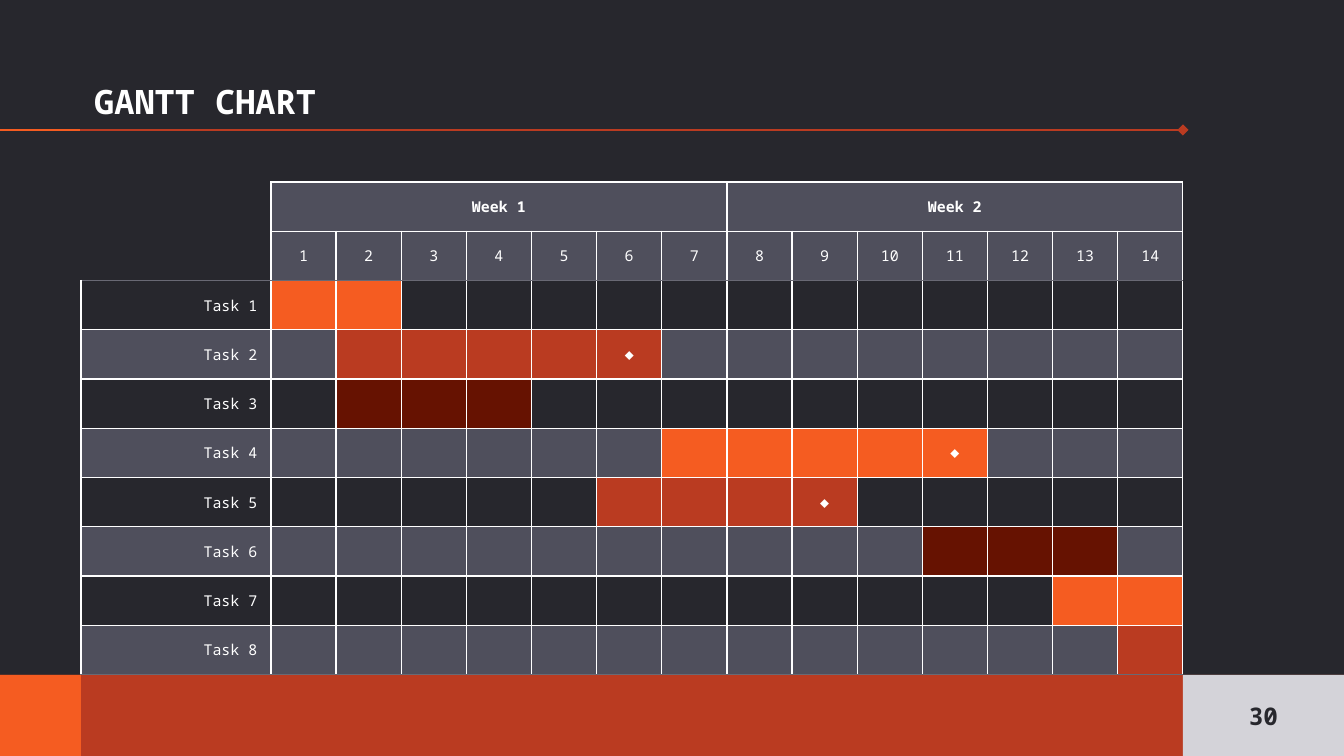
"""Build a Gantt chart slide with eight tasks over two weeks."""
import dataclasses

import lxml.etree
import pptx
import pptx.dml.color
import pptx.enum.shapes
import pptx.enum.text
import pptx.oxml.ns
import pptx.util

PX = 914400 / 134.4
ALIGN = pptx.enum.text.PP_ALIGN
ANCHOR = pptx.enum.text.MSO_ANCHOR


@dataclasses.dataclass(frozen=True)
class Theme:
    font: str = "Noto Sans Mono"
    dark: str = "27272D"
    slate: str = "4F4F5C"
    edge: str = "696974"
    pale: str = "D4D3D9"
    white: str = "FFFFFF"
    orange: str = "F55C21"
    rust: str = "BA3B21"
    maroon: str = "661201"
    title_size: int = 18
    page_size: int = 13
    table_size: int = 8
    rule_width: float = 1.5
    grid_width: float = 0.75


def px(length):
    return pptx.util.Emu(round(length * PX))


def rgb(color):
    return pptx.dml.color.RGBColor.from_string(color)


def add_xml(parent, tag, **attributes):
    return lxml.etree.SubElement(parent, pptx.oxml.ns.qn(tag), attributes)


class SlideBuilder:
    def __init__(self, slide, theme):
        self.slide = slide
        self.theme = theme
        slide.background.fill.solid()
        slide.background.fill.fore_color.rgb = rgb(theme.dark)

    def label(self, frame, text, size, color, bold=False, align=ALIGN.LEFT):
        paragraph = frame.paragraphs[0]
        paragraph.alignment = align
        font = paragraph.font
        font.name, font.size, font.bold = self.theme.font, pptx.util.Pt(size), bold
        font.color.rgb = rgb(color)
        if text:
            paragraph.add_run().text = text
        else:
            add_xml(paragraph._p, "a:endParaRPr", sz=str(size * 100))

    def block(self, left, top, width, height, color):
        block = self.slide.shapes.add_shape(
            pptx.enum.shapes.MSO_SHAPE.RECTANGLE, px(left), px(top), px(width), px(height))
        block.shadow.inherit = False
        block.fill.solid()
        block.fill.fore_color.rgb = rgb(color)
        block.line.fill.background()
        return block

    def rule(self, start, end, y, color, diamond=False):
        rule = self.slide.shapes.add_connector(
            pptx.enum.shapes.MSO_CONNECTOR.STRAIGHT, px(start), px(y), px(end), px(y))
        rule.line.color.rgb = rgb(color)
        rule.line.width = pptx.util.Pt(self.theme.rule_width)
        if diamond:
            add_xml(rule.line._get_or_add_ln(), "a:tailEnd", type="diamond")
        add_xml(rule._element.spPr, "a:effectLst")

    def title(self, left, top, width, height, text):
        frame = self.slide.shapes.add_textbox(px(left), px(top), px(width), px(height)).text_frame
        frame.word_wrap = True
        frame.vertical_anchor = ANCHOR.BOTTOM
        frame.margin_top = frame.margin_bottom = px(13)
        self.label(frame, text, self.theme.title_size, self.theme.white, bold=True)

    def page_number(self, left, top, width, height, text):
        frame = self.block(left, top, width, height, self.theme.pale).text_frame
        frame.vertical_anchor = ANCHOR.MIDDLE
        self.label(frame, text, self.theme.page_size, self.theme.dark, True, ALIGN.CENTER)

    def cell(self, cell, text, fill, borders, bold=False, align=ALIGN.CENTER):
        properties = cell._tc.get_or_add_tcPr()
        for side, color in zip("LRTB", borders):
            line = add_xml(properties, f"a:ln{side}", w=str(pptx.util.Pt(self.theme.grid_width)))
            if color:
                add_xml(add_xml(line, "a:solidFill"), "a:srgbClr", val=color)
            else:
                add_xml(line, "a:noFill")
        if fill:
            cell.fill.solid()
            cell.fill.fore_color.rgb = rgb(fill)
        else:
            cell.fill.background()
        cell.vertical_anchor = ANCHOR.MIDDLE
        self.label(cell.text_frame, text, self.theme.table_size, self.theme.white, bold, align)

    def gantt(self, left, top, label_width, days_width, height, weeks, tasks):
        theme = self.theme
        days = 7 * len(weeks)
        last = len(tasks) + 1
        table = self.slide.shapes.add_table(
            last + 1, days + 1, px(left), px(top), px(label_width + days_width), px(height)).table
        table.first_row = table.horz_banding = False
        for row in table.rows:
            row.height = px(height / (last + 1))
        for day, column in enumerate(table.columns):
            column.width = px(days_width / days if day else label_width)

        for row in range(last + 1):
            upper = theme.edge if row == 2 else theme.white
            lower = theme.edge if row in (1, last) else theme.white
            for day in range(days + 1):
                borders = (theme.white, theme.white, upper, lower)
                text, align = "", ALIGN.CENTER
                fill = theme.slate if row < 2 or row % 2 else None
                if row < 2 and day == 0:
                    fill = None
                    borders = (None, theme.white, None, theme.edge if row else None)
                elif row == 0:
                    text = weeks[day // 7] if day % 7 == 1 else ""
                elif row == 1:
                    text = str(day)
                elif day == 0:
                    text, align = f"Task {row - 1}", ALIGN.RIGHT
                else:
                    start, end, color, milestone = tasks[row - 2]
                    if start <= day <= end:
                        fill = color
                    text = "◆" if milestone and day == end else ""
                self.cell(table.cell(row, day), text, fill, borders, row == 0, align)

        for first in range(1, days + 1, 7):
            table.cell(0, first).merge(table.cell(0, first + 6))


def main():
    deck = pptx.Presentation()
    deck.slide_width, deck.slide_height = px(1344), px(756)
    theme = Theme()
    builder = SlideBuilder(deck.slides.add_slide(deck.slide_layouts[6]), theme)

    builder.rule(0, 1183, 130, theme.rust, diamond=True)
    builder.block(0, 675, 1344, 81, theme.rust)
    builder.block(0, 675, 81, 81, theme.orange)
    builder.rule(0, 80, 130, theme.orange)
    builder.title(81, 54, 1102, 80, "GANTT CHART")
    builder.page_number(1183, 675, 161, 81, "30")

    tasks = [
        (1, 2, theme.orange, False),
        (2, 6, theme.rust, True),
        (2, 4, theme.maroon, False),
        (7, 11, theme.orange, True),
        (6, 9, theme.rust, True),
        (11, 13, theme.maroon, False),
        (13, 14, theme.orange, False),
        (14, 14, theme.rust, False),
    ]
    builder.gantt(81, 182, 190, 912, 493, ["Week 1", "Week 2"], tasks)
    deck.save("out.pptx")


if __name__ == "__main__":
    main()
